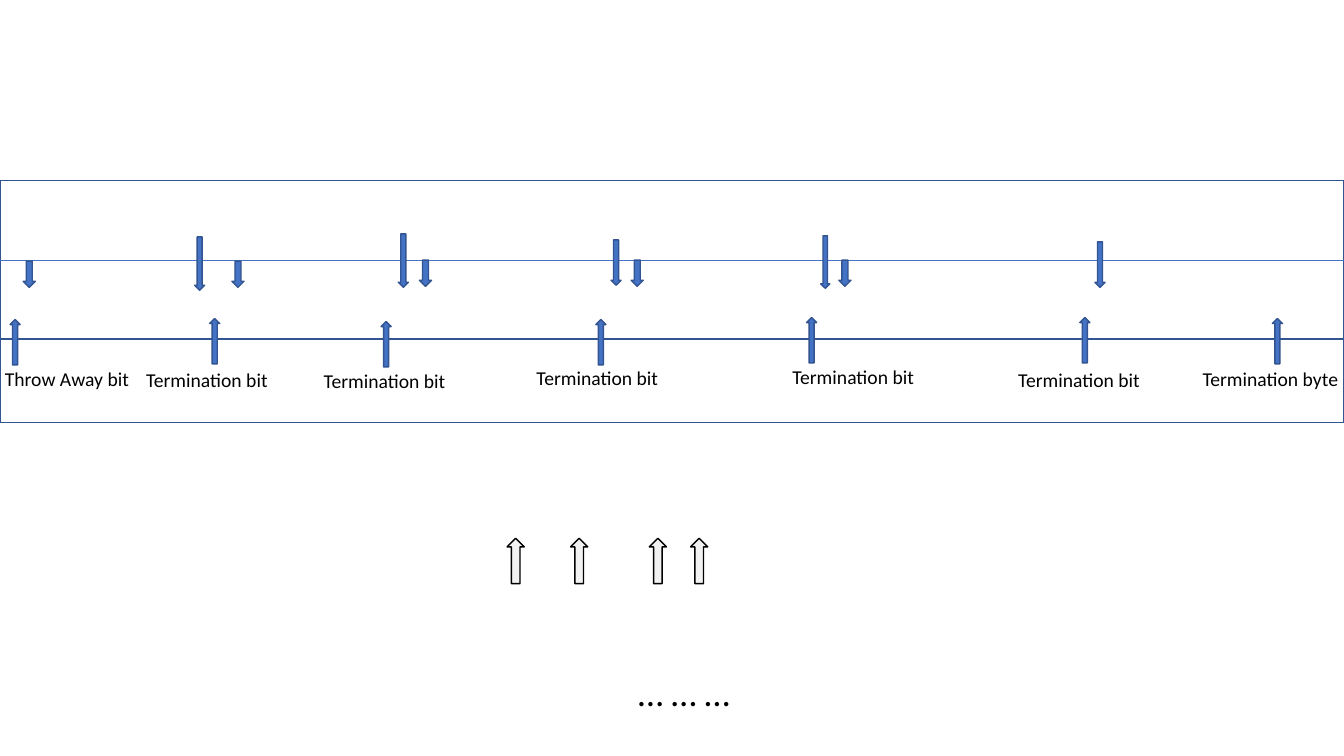
from lxml.etree import SubElement
from pptx import Presentation
from pptx.dml.color import RGBColor
from pptx.enum.shapes import MSO_CONNECTOR, MSO_SHAPE
from pptx.enum.text import MSO_AUTO_SIZE, PP_ALIGN
from pptx.oxml.ns import qn
from pptx.util import Inches, Pt

BLUE = RGBColor(0x44, 0x72, 0xC4)
NAVY = RGBColor(0x32, 0x54, 0x91)
GREY = RGBColor(0xF2, 0xF2, 0xF2)
BLACK = RGBColor(0, 0, 0)

WIDTH, HEIGHT = 13.33, 7.5
BANDS = [(1.79, 1.57), (3.37, 0.82)]  # top, height
MIDDLE = 2.58

# text, left, top, width, alignment
LABELS = [
    ("Throw Away bit", -0.05, 3.59, 2.07, PP_ALIGN.LEFT),
    ("Termination bit", 1.35, 3.6, 1.62, PP_ALIGN.LEFT),
    ("Termination bit", 3.05, 3.61, 1.53, PP_ALIGN.CENTER),
    ("Termination bit", 5.16, 3.58, 1.53, PP_ALIGN.CENTER),
    ("Termination bit", 7.76, 3.57, 1.42, PP_ALIGN.LEFT),
    ("Termination bit", 10, 3.6, 1.42, PP_ALIGN.LEFT),
    ("Termination byte", 11.82, 3.59, 1.56, PP_ALIGN.CENTER),
]

# left, top
UP = [(0.1, 3.17), (2.08, 3.16), (3.78, 3.19), (5.91, 3.17),
      (8, 3.15), (10.71, 3.15), (12.62, 3.16)]
SHORT = [(0.23, 2.59), (2.3, 2.59), (4.16, 2.58), (6.26, 2.58), (8.32, 2.58)]
# left, top, width, height
LONG = [(1.93, 2.35, 0.1, 0.53), (3.95, 2.32, 0.1, 0.53),
        (6.06, 2.38, 0.1, 0.45), (8.14, 2.34, 0.09, 0.52),
        (10.86, 2.4, 0.1, 0.45)]
PALE = [5.03, 5.66, 6.44, 6.85]

deck = Presentation()
deck.slide_width, deck.slide_height = Inches(WIDTH), Inches(HEIGHT)
slide = deck.slides.add_slide(deck.slide_layouts[6])
shapes = slide.shapes


def add_part(kind, box, fill=None, line=NAVY, turn=0):
    part = shapes.add_shape(kind, *map(Inches, box))
    part.shadow.inherit = False
    part.rotation = turn
    if fill is None:
        part.fill.background()
    else:
        part.fill.solid()
        part.fill.fore_color.rgb = fill
    part.line.color.rgb = line
    part.line.width = Pt(1)


def add_text(text, box, size, align=PP_ALIGN.LEFT):
    frame = shapes.add_textbox(*map(Inches, box)).text_frame
    frame.word_wrap = True
    frame.auto_size = MSO_AUTO_SIZE.SHAPE_TO_FIT_TEXT
    frame.text = text
    para = frame.paragraphs[0]
    para.alignment = align
    font = para.runs[0].font
    font.name, font.size = "Calibri", Pt(size)
    font.color.rgb = BLACK


add_text("… … …", (6.23, 6.6, 1.23, 0.55), 26)

for top, height in BANDS:
    add_part(MSO_SHAPE.RECTANGLE, (0, top, WIDTH, height))

rule = shapes.add_connector(MSO_CONNECTOR.STRAIGHT, 0, Inches(MIDDLE),
                            Inches(WIDTH), Inches(MIDDLE))
rule.line.color.rgb = BLUE
rule.line.width = Pt(0.5)
SubElement(rule._element.spPr, qn("a:effectLst"))

for text, left, top, width, align in LABELS:
    add_text(text, (left, top, width, 0.34), 14, align)

for left, top in UP:
    add_part(MSO_SHAPE.UP_ARROW, (left, top, 0.1, 0.45), BLUE)
for box in LONG + [(left, top, 0.12, 0.26) for left, top in SHORT]:
    add_part(MSO_SHAPE.UP_ARROW, box, BLUE, turn=180)
for left in PALE:
    add_part(MSO_SHAPE.UP_ARROW, (left, 5.34, 0.17, 0.45), GREY, BLACK)

deck.save("out.pptx")
